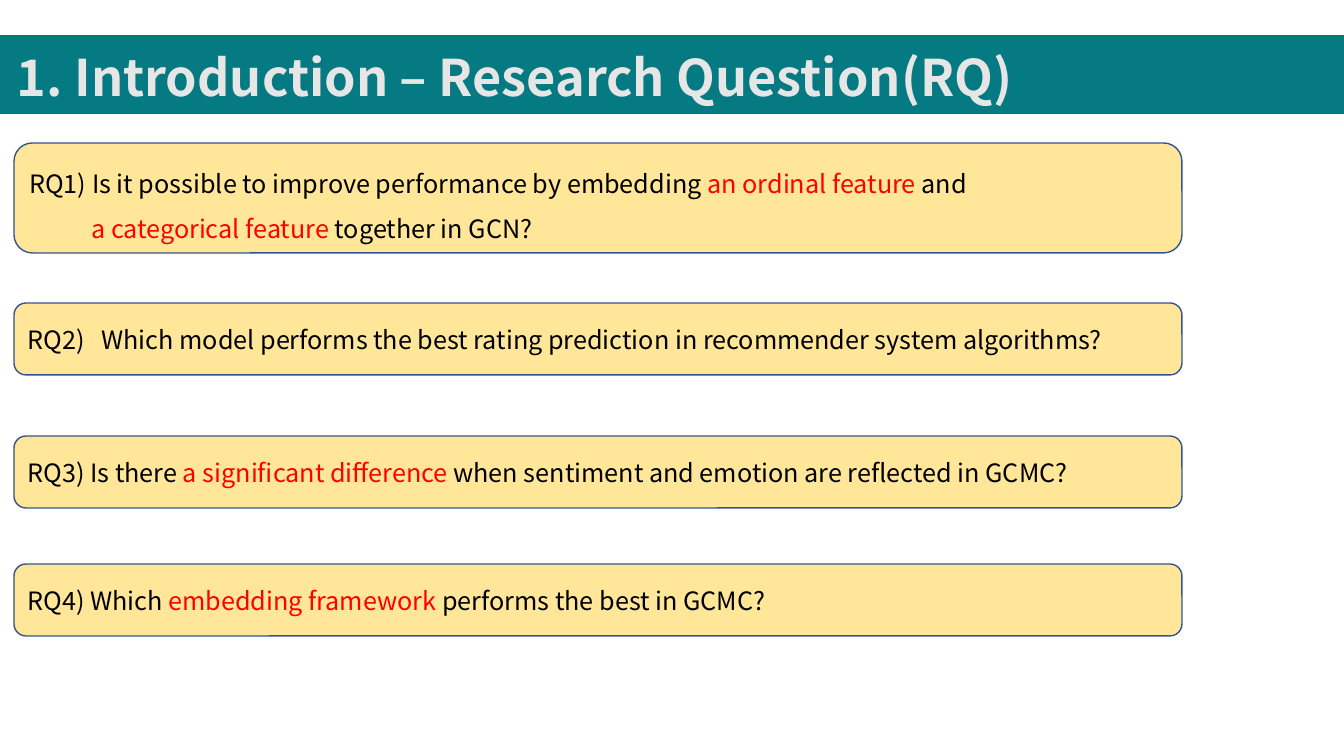
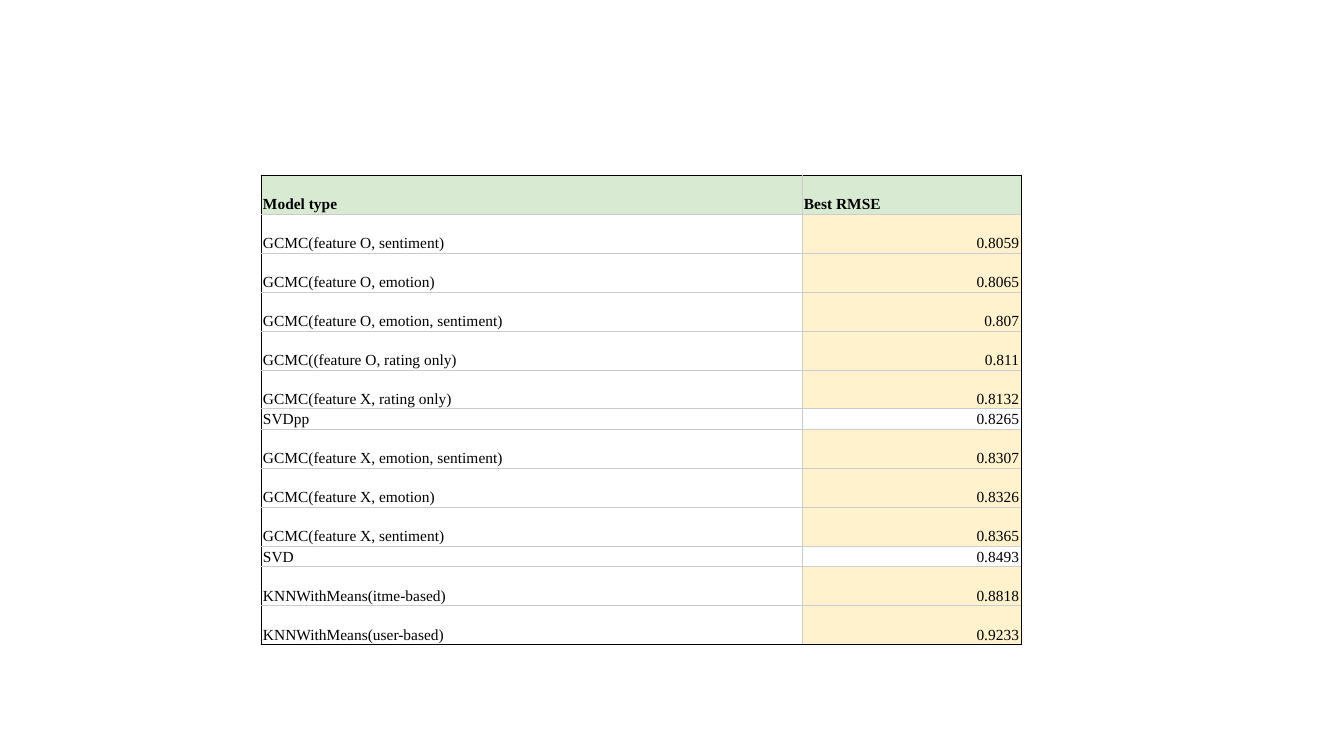
import pptx
import pptx.dml.color
import pptx.enum.shapes
import pptx.enum.text
import pptx.oxml.ns
import pptx.util
from lxml import etree

EMU_PER_PX = 914400 / 100.8
SLIDE_SIZE = (1344, 756)
SANS = "Noto Sans CJK KR"
SERIF = "Times New Roman"
COLORS = {
    "band": "067A82",
    "title": "E7E6E6",
    "question": "FFE699",
    "outline": "325491",
    "text": "000000",
    "emphasis": "FF0000",
    "header": "D9EAD3",
    "score": "FFF2CC",
    "plain": "FFFFFF",
    "frame": "000000",
    "grid": "CCCCCC",
}
ALIGN = pptx.enum.text.PP_ALIGN
ANCHOR = pptx.enum.text.MSO_ANCHOR
SHAPE = pptx.enum.shapes.MSO_SHAPE

# Each question: top, height, line spacing, anchor, lines.
# A line is its left indent, its tab stop and its (text, colour) runs.
QUESTIONS = [
    (143, 110, 1.5, ANCHOR.TOP, [
        (0, 0, [("RQ1) Is it possible to improve performance by embedding ", "text"),
                ("an ordinal feature ", "emphasis"), ("and", "text")]),
        (62, 0, [("a categorical feature ", "emphasis"), ("together in GCN?", "text")]),
    ]),
    (303, 72, 1, ANCHOR.MIDDLE, [
        (0, 74, [("RQ2)\tWhich model performs the best rating prediction "
                  "in recommender system algorithms?", "text")]),
    ]),
    (436, 72, 1, ANCHOR.MIDDLE, [
        (0, 0, [("RQ3) Is there ", "text"), ("a significant difference ", "emphasis"),
                ("when sentiment and emotion are reflected in GCMC?", "text")]),
    ]),
    (564, 72, 1, ANCHOR.MIDDLE, [
        (0, 0, [("RQ4) Which ", "text"), ("embedding framework", "emphasis"),
                (" performs the best in GCMC?", "text")]),
    ]),
]

RESULTS = [
    ("Model type", "Best RMSE"),
    ("GCMC(feature O, sentiment)", "0.8059"),
    ("GCMC(feature O, emotion)", "0.8065"),
    ("GCMC(feature O, emotion, sentiment)", "0.807"),
    ("GCMC((feature O, rating only)", "0.811"),
    ("GCMC(feature X, rating only)", "0.8132"),
    ("SVDpp", "0.8265"),
    ("GCMC(feature X, emotion, sentiment)", "0.8307"),
    ("GCMC(feature X, emotion)", "0.8326"),
    ("GCMC(feature X, sentiment)", "0.8365"),
    ("SVD", "0.8493"),
    ("KNNWithMeans(itme-based)", "0.8818"),
    ("KNNWithMeans(user-based)", "0.9233"),
]


def px(length):
    return pptx.util.Emu(round(length * EMU_PER_PX))


def rgb(name):
    return pptx.dml.color.RGBColor.from_string(COLORS[name])


def write(frame, lines, *, font, size, bold=False, align=ALIGN.LEFT, spacing=1):
    """Fill a text frame with (indent, tab stop, runs) lines."""
    for number, (indent, tab, runs) in enumerate(lines):
        paragraph = frame.add_paragraph() if number else frame.paragraphs[0]
        paragraph.alignment = align
        paragraph.line_spacing = float(spacing)
        properties = paragraph._p.get_or_add_pPr()
        if indent:
            properties.set("marL", str(px(indent)))
        if tab:
            tabs = etree.SubElement(properties, pptx.oxml.ns.qn("a:tabLst"))
            etree.SubElement(tabs, pptx.oxml.ns.qn("a:tab"), pos=str(px(tab)), algn="l")
        for words, color in runs:
            run = paragraph.add_run()
            run.text = words
            run.font.name = font
            run.font.size = pptx.util.Pt(size)
            run.font.bold = bold
            run.font.color.rgb = rgb(color)


def add_panel(slide, kind, box, fill, outline=None):
    panel = slide.shapes.add_shape(kind, *map(px, box))
    panel.shadow.inherit = False
    panel.fill.solid()
    panel.fill.fore_color.rgb = rgb(fill)
    if outline:
        panel.line.color.rgb = rgb(outline)
        panel.line.width = pptx.util.Pt(1)
    else:
        panel.line.fill.background()
    return panel


def add_title(slide, title):
    add_panel(slide, SHAPE.RECTANGLE, (0, 35, SLIDE_SIZE[0], 79), "band")
    frame = slide.shapes.add_textbox(*map(px, (7, 15, 1337, 93))).text_frame
    frame.word_wrap = True
    frame.auto_size = pptx.enum.text.MSO_AUTO_SIZE.SHAPE_TO_FIT_TEXT
    frame.vertical_anchor = ANCHOR.MIDDLE
    write(frame, [(0, 0, [(title, "title")])], font=SANS, size=36, bold=True, spacing=1.5)


def add_question(slide, box, lines, anchor, spacing):
    panel = add_panel(slide, SHAPE.ROUNDED_RECTANGLE, box, "question", "outline")
    frame = panel.text_frame
    frame.word_wrap = True
    frame.vertical_anchor = anchor
    write(frame, lines, font=SANS, size=18, spacing=spacing)


def set_borders(cell, colors):
    """Draw cell borders from a dict of side letter to colour name."""
    properties = cell._tc.get_or_add_tcPr()
    for side in "LRTB":
        line = etree.SubElement(properties, pptx.oxml.ns.qn(f"a:ln{side}"),
                                w=str(pptx.util.Pt(0.6)))
        fill = etree.SubElement(line, pptx.oxml.ns.qn("a:solidFill"))
        etree.SubElement(fill, pptx.oxml.ns.qn("a:srgbClr"), val=COLORS[colors[side]])


def add_results(slide, left, top, widths, results):
    heights = [20 if model.startswith("SVD") else 39 for model, _ in results]
    table = slide.shapes.add_table(
        len(results), len(widths), px(left), px(top), px(sum(widths)), px(sum(heights))
    ).table
    table.first_row = table.horz_banding = False
    for column, width in zip(table.columns, widths):
        column.width = px(width)
    last_row, last_column = len(results) - 1, len(widths) - 1
    for r, (height, values) in enumerate(zip(heights, results)):
        table.rows[r].height = px(height)
        is_header = r == 0
        is_svd = values[0].startswith("SVD")
        for c, value in enumerate(values):
            cell = table.cell(r, c)
            cell.margin_left = cell.margin_right = px(2)
            cell.margin_top = cell.margin_bottom = px(1)
            cell.vertical_anchor = ANCHOR.BOTTOM
            on_frame = {"L": c == 0, "R": c == last_column, "T": is_header, "B": r == last_row}
            set_borders(cell, {s: "frame" if on else "grid" for s, on in on_frame.items()})
            is_score = c == last_column and not is_header
            cell.fill.solid()
            cell.fill.fore_color.rgb = rgb(
                "header" if is_header else "score" if is_score and not is_svd else "plain")
            write(cell.text_frame, [(0, 0, [(value, "text")])], font=SERIF, size=11,
                  bold=is_header, align=ALIGN.RIGHT if is_score else ALIGN.LEFT)


def build_questions(slide):
    add_title(slide, "1. Introduction – Research Question(RQ)")
    for top, height, spacing, anchor, lines in QUESTIONS:
        add_question(slide, (14, top, 1168, height), lines, anchor, spacing)


def build_results(slide):
    add_results(slide, 261, 175, (541, 219), RESULTS)


def main():
    deck = pptx.Presentation()
    deck.slide_width, deck.slide_height = map(px, SLIDE_SIZE)
    for build in (build_questions, build_results):
        build(deck.slides.add_slide(deck.slide_layouts[6]))
    deck.save("out.pptx")


if __name__ == "__main__":
    main()
